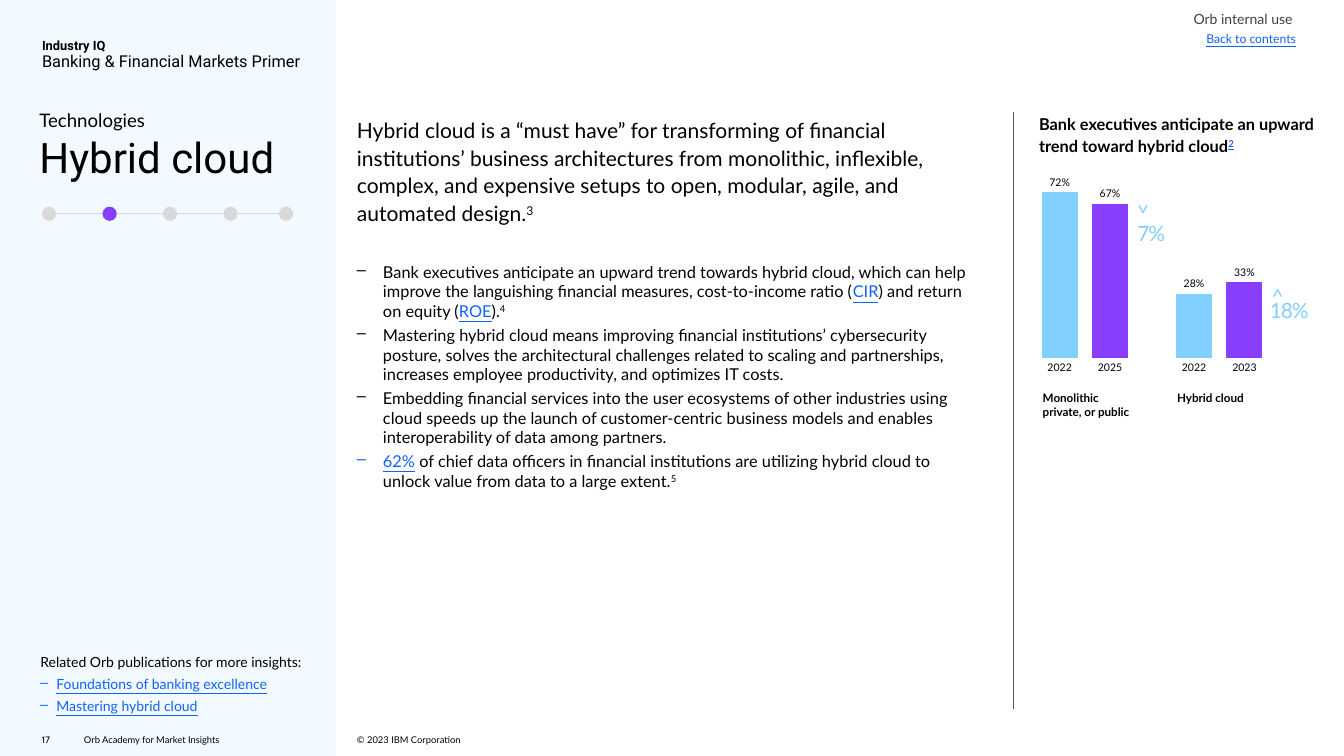
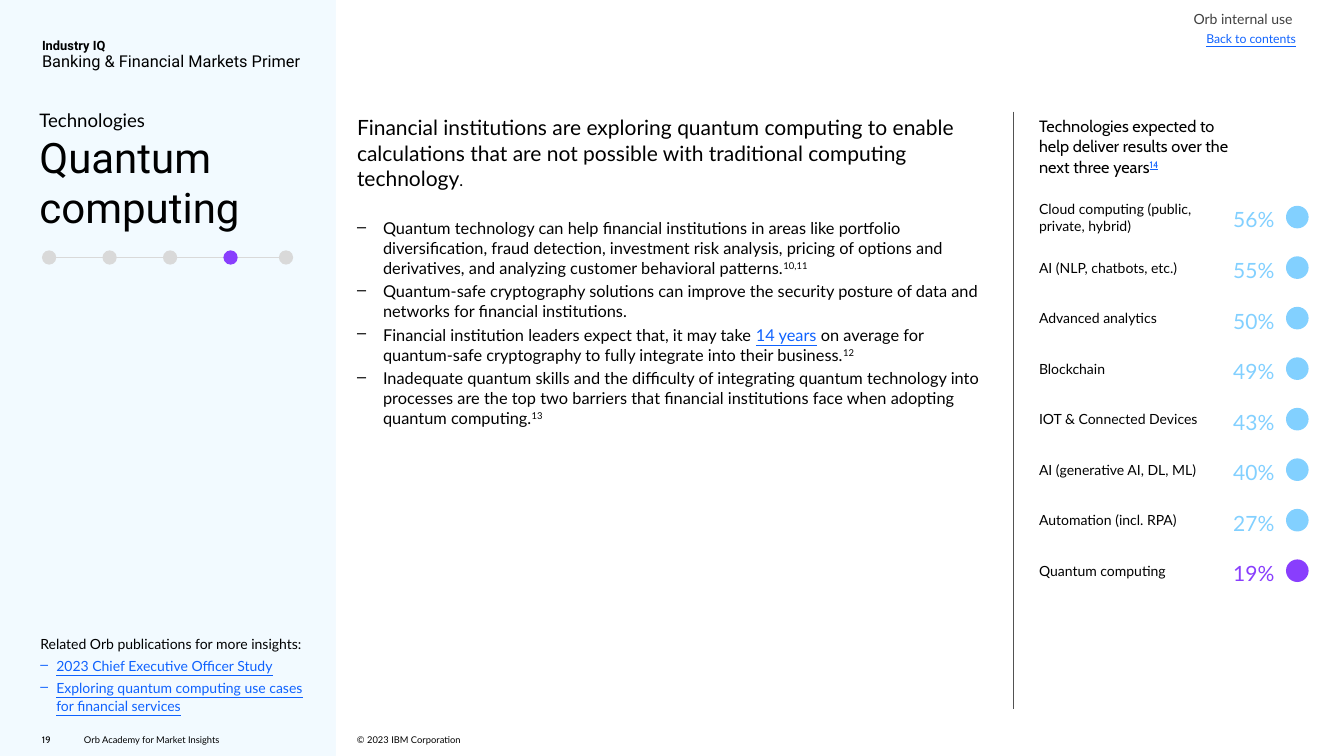
from dataclasses import dataclass
from typing import Optional

from lxml import etree
from pptx import Presentation
from pptx import oxml
from pptx import util as u
from pptx.chart import data as chart_data
from pptx.dml import color as dml
from pptx.enum import chart as chart_enum
from pptx.enum import shapes, text
from pptx.oxml import ns
from pptx.slide import Slide

COLORS = {
    "background": "F2FAFF",
    "panel": "FFFFFF",
    "ink": "000000",
    "muted": "404040",
    "rule": "525252",
    "track": "D9D9D9",
    "sky": "82D0FF",
    "purple": "893EFD",
    "link": "0F62FE",
}
BODY, TITLE, ALTERNATE = "Lato", "Roboto", "Cabin"
COMPANY = "Orb"
PADDED = (0, 3.6, 7.2, 3.6)
PROGRESS_LEFTS = (36, 87.84, 139.68, 191.52, 239.04)
PROGRESS_SIZE = 12.24
RELATED_BOTTOM = 612.5


@dataclass(frozen=True)
class Box:
    left: float
    top: float
    width: float
    height: float
    insets: tuple[float, float, float, float] = (0, 0, 0, 0)
    anchor: text.MSO_ANCHOR = text.MSO_ANCHOR.TOP
    rotation: float = 0

    def lengths(self) -> list[u.Length]:
        return [u.Pt(value) for value in (self.left, self.top, self.width, self.height)]


@dataclass(frozen=True)
class Run:
    text: str
    link: bool = False
    raised: bool = False
    size: Optional[float] = None
    font: Optional[str] = None
    tracking: float = 0


@dataclass(frozen=True)
class Paragraph:
    runs: tuple[Run, ...]
    size: Optional[float] = None
    font: Optional[str] = BODY
    color: str = "ink"
    bold: bool = False
    underline: bool = False
    spacing: float = 1.0
    after: float = 0
    indent: float = 0
    align: text.PP_ALIGN = text.PP_ALIGN.LEFT


@dataclass(frozen=True)
class Topic:
    number: int
    title: str
    step: int
    progress_top: float
    body: Box
    body_paragraphs: tuple[Paragraph, ...]
    related_height: float
    related: tuple[str, ...]


@dataclass(frozen=True)
class BarGroup:
    left: float
    name: str
    years: tuple[str, str]
    values: tuple[int, int]


def rgb(name: str) -> dml.RGBColor:
    return dml.RGBColor.from_string(COLORS[name])


def line(content: str, size: float, **style) -> Paragraph:
    return Paragraph((Run(content),), size, **style)


def lead(size_spacing: float, after: float, *runs: Run) -> Paragraph:
    return Paragraph(runs, 18, spacing=size_spacing, after=after)


def bullet(*runs: Run) -> Paragraph:
    return Paragraph(runs, 14, after=3.6, indent=22.32)


def add_run(paragraph, run: Run) -> None:
    for index, piece in enumerate(run.text.split("\n")):
        if index:
            paragraph.add_line_break()
        if not piece:
            continue
        item = paragraph.add_run()
        item.text = piece
        if run.size:
            item.font.size = u.Pt(run.size)
        if run.font:
            item.font.name = run.font
        if run.link:
            item.font.color.rgb = rgb("link")
            item.font.underline = True
        properties = item._r.get_or_add_rPr()
        if run.raised:
            properties.set("baseline", "30000")
        if run.tracking:
            properties.set("spc", str(round(run.tracking * 100)))


def add_text(slide: Slide, box: Box, *paragraphs: Paragraph) -> None:
    shape = slide.shapes.add_textbox(*box.lengths())
    shape.rotation = box.rotation
    frame = shape.text_frame
    frame.word_wrap = True
    frame.vertical_anchor = box.anchor
    frame.margin_left, frame.margin_top, frame.margin_right, frame.margin_bottom = map(u.Pt, box.insets)
    for index, source in enumerate(paragraphs):
        paragraph = frame.add_paragraph() if index else frame.paragraphs[0]
        if source.indent:
            properties = paragraph._p.get_or_add_pPr()
            properties.set("marL", str(u.Pt(source.indent)))
            properties.set("indent", str(-u.Pt(source.indent)))
            etree.SubElement(properties, ns.qn("a:buChar"), char="–")
        paragraph.alignment = source.align
        paragraph.line_spacing = source.spacing
        paragraph.space_after = u.Pt(source.after)
        if source.size:
            paragraph.font.size = u.Pt(source.size)
        if source.font:
            paragraph.font.name = source.font
        paragraph.font.color.rgb = rgb(source.color)
        paragraph.font.bold = source.bold
        if source.underline:
            paragraph.font.underline = True
        for run in source.runs:
            add_run(paragraph, run)


def add_filled(slide: Slide, kind: shapes.MSO_SHAPE, box: Box, color: str) -> None:
    shape = slide.shapes.add_shape(kind, *box.lengths())
    shape.shadow.inherit = False
    shape.fill.solid()
    shape.fill.fore_color.rgb = rgb(color)
    shape.line.fill.background()


def add_rule(slide: Slide, left: float, top: float, right: float, bottom: float, color: str, width: float) -> None:
    ends = map(u.Pt, (left, top, right, bottom))
    connector = slide.shapes.add_connector(shapes.MSO_CONNECTOR.STRAIGHT, *ends)
    connector.line.color.rgb = rgb(color)
    connector.line.width = u.Pt(width)
    etree.SubElement(connector._element.spPr, ns.qn("a:effectLst"))


def add_progress(slide: Slide, top: float, step: int) -> None:
    middle = top + PROGRESS_SIZE / 2
    add_rule(slide, 37.44, middle, PROGRESS_LEFTS[-1], middle, "track", 1.25)
    for index, left in enumerate(PROGRESS_LEFTS):
        dot = Box(left, top, PROGRESS_SIZE, PROGRESS_SIZE)
        add_filled(slide, shapes.MSO_SHAPE.OVAL, dot, "purple" if index == step else "track")


def add_topic_slide(presentation, topic: Topic) -> Slide:
    middle = text.MSO_ANCHOR.MIDDLE
    slide = presentation.slides.add_slide(presentation.slide_layouts[6])
    slide.background.fill.solid()
    slide.background.fill.fore_color.rgb = rgb("background")
    add_filled(slide, shapes.MSO_SHAPE.RECTANGLE, Box(288, 0, 864, 648), "panel")
    add_text(slide, Box(72, 625.7, 180, 17.3, anchor=middle), line(f"{COMPANY} Academy for Market Insights", 8))
    add_text(slide, Box(36, 628.6, 36, 20), line(str(topic.number), 8, font=ALTERNATE, spacing=1.1))
    add_text(slide, Box(306, 625.7, 180, 17.3, anchor=middle), line("© 2023 IBM Corporation", 8))
    add_text(slide, Box(1023.1, 3.6, 95.8, 23.8, anchor=middle),
             line(f"{COMPANY} internal use", 12, color="muted", spacing=1.1))
    add_text(slide, Box(1027.4, 25.2, 83.5, 10.8),
             line("Back to contents", 10.5, color="link", underline=True, spacing=1.1, after=3,
                  align=text.PP_ALIGN.RIGHT))
    add_text(slide, Box(36, 30.2, 234, 30.2, PADDED),
             line("Industry IQ", 11, font=TITLE, bold=True, spacing=0.9),
             line("Banking & Financial Markets Primer", 14, font=TITLE, spacing=0.9))
    add_text(slide, Box(33.8, 90, 234, 151.9, PADDED),
             Paragraph((Run("Technologies\n", size=16, font=BODY), Run(topic.title, size=36, font=TITLE)), font=None))
    add_progress(slide, topic.progress_top, topic.step)
    add_text(slide, topic.body, *topic.body_paragraphs)
    related = [line(name, 12, color="link", underline=True, spacing=1.1, after=3, indent=13.68)
               for name in topic.related]
    add_text(slide, Box(34.6, RELATED_BOTTOM - topic.related_height, 235.4, topic.related_height,
                        anchor=text.MSO_ANCHOR.BOTTOM),
             line(f"Related {COMPANY} publications for more insights:", 12, spacing=1.1, after=3), *related)
    add_rule(slide, 869, 95.8, 869, 607.7, "rule", 1)
    return slide


def add_bar_group(slide: Slide, group: BarGroup) -> None:
    data = chart_data.CategoryChartData(number_format='0"%"')
    data.categories = group.years
    data.add_series(group.name, group.values)
    frame = slide.shapes.add_chart(chart_enum.XL_CHART_TYPE.COLUMN_CLUSTERED,
                                   *Box(group.left, 144, 86.4, 187.2).lengths(), data)
    chart = frame.chart
    chart.has_title = chart.has_legend = False
    chart.font.name, chart.font.size = BODY, u.Pt(9)
    chart.font.color.rgb = rgb("ink")
    chart.value_axis.minimum_scale, chart.value_axis.maximum_scale = 0, 80
    chart.value_axis.has_major_gridlines = False
    chart.value_axis.visible = False
    chart.category_axis.major_tick_mark = chart_enum.XL_TICK_MARK.NONE
    chart.category_axis.format.line.fill.background()
    plot = chart.plots[0]
    plot.vary_by_categories = False
    plot.gap_width = 40
    plot.has_data_labels = True
    plot.data_labels.show_value = True
    plot.data_labels.position = chart_enum.XL_LABEL_POSITION.OUTSIDE_END
    for index, color in enumerate(("sky", "purple")):
        fill = plot.series[0].points[index].format.fill
        fill.solid()
        fill.fore_color.rgb = rgb(color)
    area = chart._chartSpace.chart.plotArea
    for layout in area.findall(ns.qn("c:layout")):
        area.remove(layout)
    edges = "".join(f'<c:{name} val="{value}"/>' for name, value in
                    (("layoutTarget", "inner"), ("xMode", "edge"), ("yMode", "edge"),
                     ("x", 0), ("y", 0.027), ("w", 1), ("h", 0.844)))
    area.insert(0, oxml.parse_xml(
        f'<c:layout {ns.nsdecls("c")}><c:manualLayout>{edges}</c:manualLayout></c:layout>'))
    add_text(slide, Box(group.left, 331.2, 95.8, 31.7, (7.2, 3.6, 7.2, 3.6)), line(group.name, 10, bold=True))


def add_cloud_trend(slide: Slide) -> None:
    add_text(slide, Box(890.6, 98.6, 236.2, 34.6, anchor=text.MSO_ANCHOR.BOTTOM),
             Paragraph((Run("Bank executives anticipate an upward trend toward hybrid cloud"),
                        Run("2", link=True, raised=True)), 14, bold=True, spacing=1.1, after=3))
    for group in (BarGroup(886.7, "Monolithic private, or public", ("2022", "2025"), (72, 67)),
                  BarGroup(1001.9, "Hybrid cloud", ("2022", "2023"), (28, 33))):
        add_bar_group(slide, group)
    for box, content, tracking in (
        (Box(974.9, 187.2, 25.9, 21.6), "7%", -1),
        (Box(1088.6, 252.7, 38.9, 25.2), "18%", -1),
        (Box(959, 168.5, 25.9, 21.6, rotation=180), "^", -2.5),
        (Box(1090.1, 241.2, 25.9, 21.6), "^", -2.5),
    ):
        add_text(slide, box, Paragraph((Run(content, tracking=tracking),), 18, color="sky", spacing=1.1))


def add_technology_ranking(slide: Slide) -> None:
    add_text(slide, Box(890.6, 98.6, 224.6, 57.6),
             Paragraph((Run("Technologies expected to\nhelp deliver results over the\nnext three years"),
                        Run("14", link=True, raised=True)), 14, font=ALTERNATE, spacing=1.05))
    ranking = (
        ("Cloud computing (public, private, hybrid)", 56),
        ("AI (NLP, chatbots, etc.)", 55),
        ("Advanced analytics", 50),
        ("Blockchain", 49),
        ("IOT & Connected Devices", 43),
        ("AI (generative AI, DL, ML)", 40),
        ("Automation (incl. RPA)", 27),
        ("Quantum computing", 19),
    )
    for index, (name, share) in enumerate(ranking):
        center = 186.1 + index * 43.3
        color = "purple" if index == len(ranking) - 1 else "sky"
        add_text(slide, Box(890.6, center - 18, 157.7, 36, PADDED, text.MSO_ANCHOR.MIDDLE), line(name, 12))
        add_text(slide, Box(1057, center - 10.8, 49, 21.6), line(f"{share}%", 18, color=color, spacing=1.1))
        add_filled(slide, shapes.MSO_SHAPE.OVAL, Box(1102.3, center - 9.7, 19.4, 19.4), color)


HYBRID_CLOUD = Topic(17, "Hybrid cloud", 1, 177.1, Box(306, 98.6, 532.8, 326.9), (
    lead(1.1, 31,
         Run("Hybrid cloud is a “must have” for transforming of financial institutions’ business architectures from monolithic, inflexible, complex, and expensive setups to open, modular, agile, and automated design."),
         Run("3", raised=True)),
    bullet(Run("Bank executives anticipate an upward trend towards hybrid cloud, which can help improve the languishing financial measures, cost-to-income ratio ("),
           Run("CIR", link=True), Run(") and return on equity ("), Run("ROE", link=True), Run(")."),
           Run("4", raised=True)),
    bullet(Run("Mastering hybrid cloud means improving financial institutions’ cybersecurity posture, solves the architectural challenges related to scaling and partnerships, increases employee productivity, and optimizes IT costs.")),
    bullet(Run("Embedding financial services into the user ecosystems of other industries using cloud speeds up the launch of customer-centric business models and enables interoperability of data among partners.")),
    bullet(Run("62%", link=True),
           Run(" of chief data officers in financial institutions are utilizing hybrid cloud to unlock value from data to a large extent."),
           Run("5", raised=True)),
), 80.6, ("Foundations of banking excellence", "Mastering hybrid cloud"))

QUANTUM_COMPUTING = Topic(19, "Quantum computing", 3, 214.6, Box(306, 98.6, 541.4, 313.9), (
    lead(1.0, 24,
         Run("Financial institutions are exploring quantum computing to enable calculations that are not possible with traditional computing technology"),
         Run(".", size=14)),
    bullet(Run("Quantum technology can help financial institutions in areas like portfolio diversification, fraud detection, investment risk analysis, pricing of options and derivatives, and analyzing customer behavioral patterns."),
           Run("10,11", raised=True)),
    bullet(Run("Quantum-safe cryptography solutions can improve the security posture of data and networks for financial institutions.")),
    bullet(Run("Financial institution leaders expect that, it may take "), Run("14 years", link=True),
           Run(" on average for quantum-safe cryptography to fully integrate into their business."),
           Run("12", raised=True)),
    bullet(Run("Inadequate quantum skills and the difficulty of integrating quantum technology into processes are the top two barriers that financial institutions face when adopting quantum computing."),
           Run("13", raised=True)),
), 121, ("2023 Chief Executive Officer Study", "Exploring quantum computing use cases for financial services"))


def main() -> None:
    presentation = Presentation()
    presentation.slide_width, presentation.slide_height = u.Pt(1152), u.Pt(648)
    add_cloud_trend(add_topic_slide(presentation, HYBRID_CLOUD))
    add_technology_ranking(add_topic_slide(presentation, QUANTUM_COMPUTING))
    presentation.save("out.pptx")


if __name__ == "__main__":
    main()
